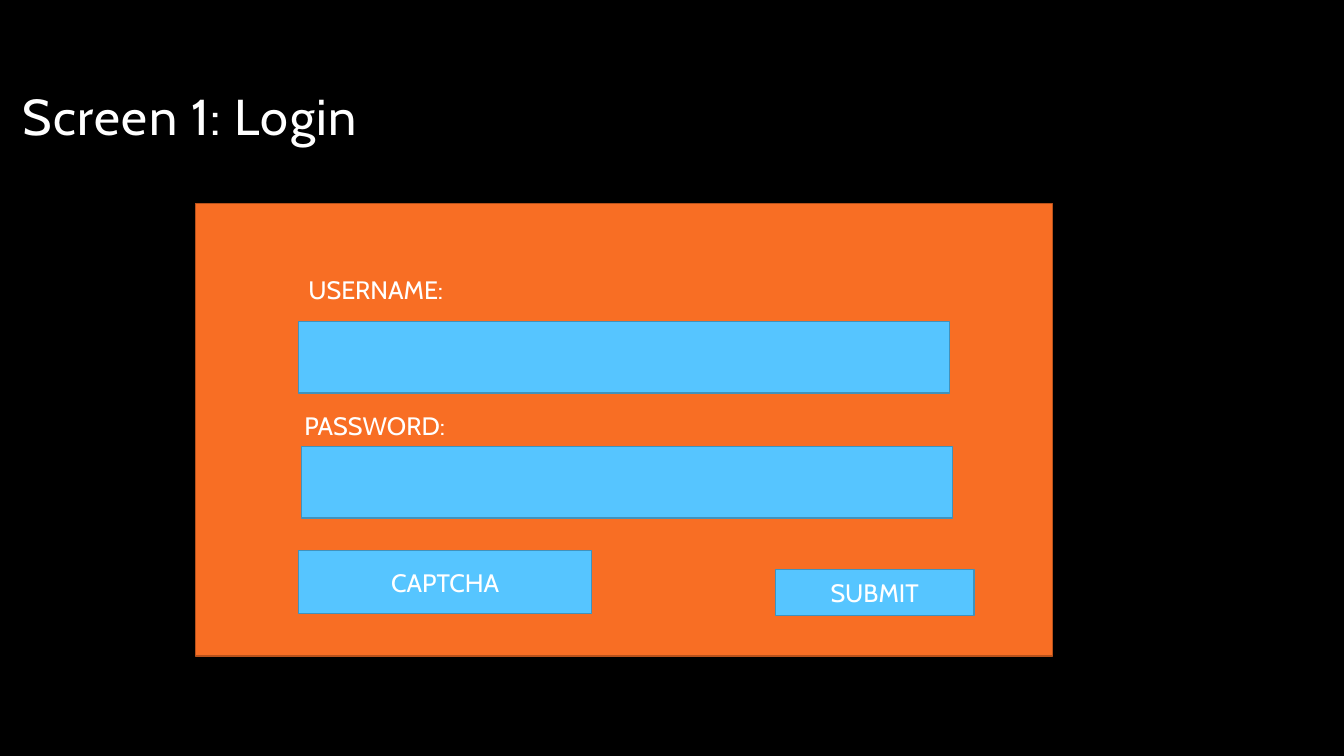
from pptx import Presentation
from pptx.dml.color import RGBColor
from pptx.enum import shapes, text
from pptx.util import Inches, Pt

FONT = "Cabin"
BLACK, WHITE = "000000", "FFFFFF"
ORANGE, ORANGE_EDGE = "F86E24", "B7511B"
BLUE, BLUE_EDGE = "56C5FF", "4092BD"

# Boxes are (left, top, width, height) in inches.
TITLE = ("Screen 1: Login", (0.13, 0, 10, 1.5))
PANEL = (1.94, 2.02, 8.5, 4.49)
FIELD_SIZE = (6.46, 0.71)
FIELDS = [(2.96, 3.19), (2.99, 4.43)]
LABEL_SIZE = (2.36, 0.4)
LABELS = [("USERNAME:", (2.96, 2.67)), ("PASSWORD:", (2.92, 4.02))]
BUTTONS = [
    ("SUBMIT", (7.69, 5.65, 1.97, 0.46)),
    ("CAPTCHA", (2.96, 5.46, 2.91, 0.63)),
]


def color(hex_code):
    return RGBColor.from_string(hex_code)


def write(frame, words, size=18):
    """Put one white line of text in a frame and return its paragraph."""
    frame.word_wrap = True
    frame.text = words
    line = frame.paragraphs[0]
    font = line.runs[0].font
    font.name, font.size = FONT, Pt(size)
    font.color.rgb = color(WHITE)
    return line


def add_box(slide, box, fill, edge):
    rect = slide.shapes.add_shape(shapes.MSO_SHAPE.RECTANGLE, *map(Inches, box))
    rect.shadow.inherit = False
    rect.fill.solid()
    rect.fill.fore_color.rgb = color(fill)
    rect.line.color.rgb = color(edge)
    rect.line.width = Pt(1)
    return rect


def add_title(slide, words, box):
    frame = slide.shapes.add_textbox(*map(Inches, box)).text_frame
    heading = write(frame, words, 36)
    frame.vertical_anchor = text.MSO_ANCHOR.BOTTOM
    heading.line_spacing = 0.9
    # Letter spacing of 1 pt, in hundredths of a point
    heading.runs[0]._r.get_or_add_rPr().set("spc", "100")


def add_label(slide, words, corner):
    frame = slide.shapes.add_textbox(*map(Inches, corner + LABEL_SIZE)).text_frame
    write(frame, words)
    frame.auto_size = text.MSO_AUTO_SIZE.SHAPE_TO_FIT_TEXT


def add_button(slide, words, box):
    frame = add_box(slide, box, BLUE, BLUE_EDGE).text_frame
    write(frame, words).alignment = text.PP_ALIGN.CENTER
    frame.vertical_anchor = text.MSO_ANCHOR.MIDDLE


def main():
    deck = Presentation()
    deck.slide_width, deck.slide_height = Inches(13.33), Inches(7.5)
    slide = deck.slides.add_slide(deck.slide_layouts[6])
    slide.background.fill.solid()
    slide.background.fill.fore_color.rgb = color(BLACK)

    add_title(slide, *TITLE)
    add_box(slide, PANEL, ORANGE, ORANGE_EDGE)
    for corner in FIELDS:
        add_box(slide, corner + FIELD_SIZE, BLUE, BLUE_EDGE)
    for words, corner in LABELS:
        add_label(slide, words, corner)
    for words, box in BUTTONS:
        add_button(slide, words, box)

    deck.save("out.pptx")


if __name__ == "__main__":
    main()
